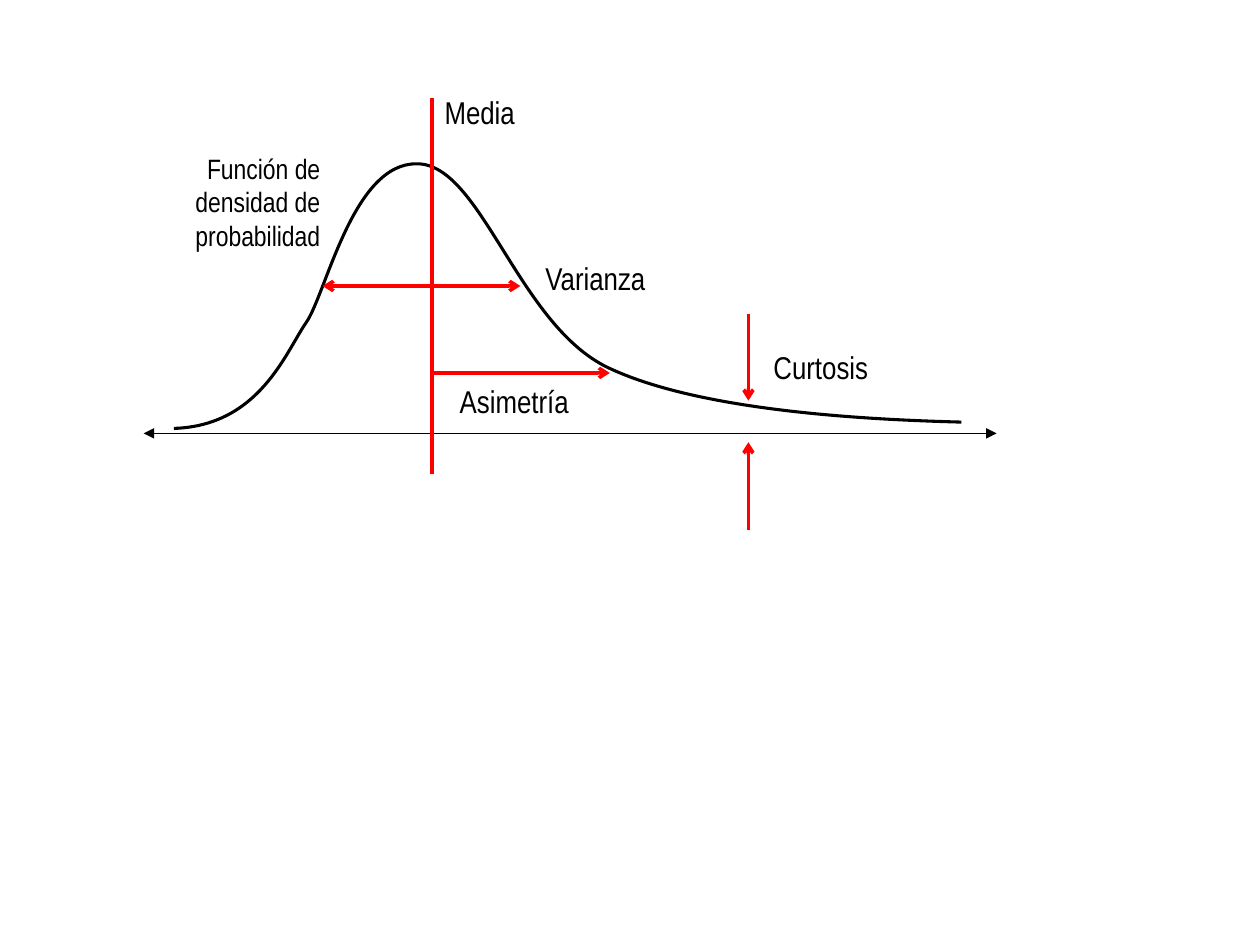
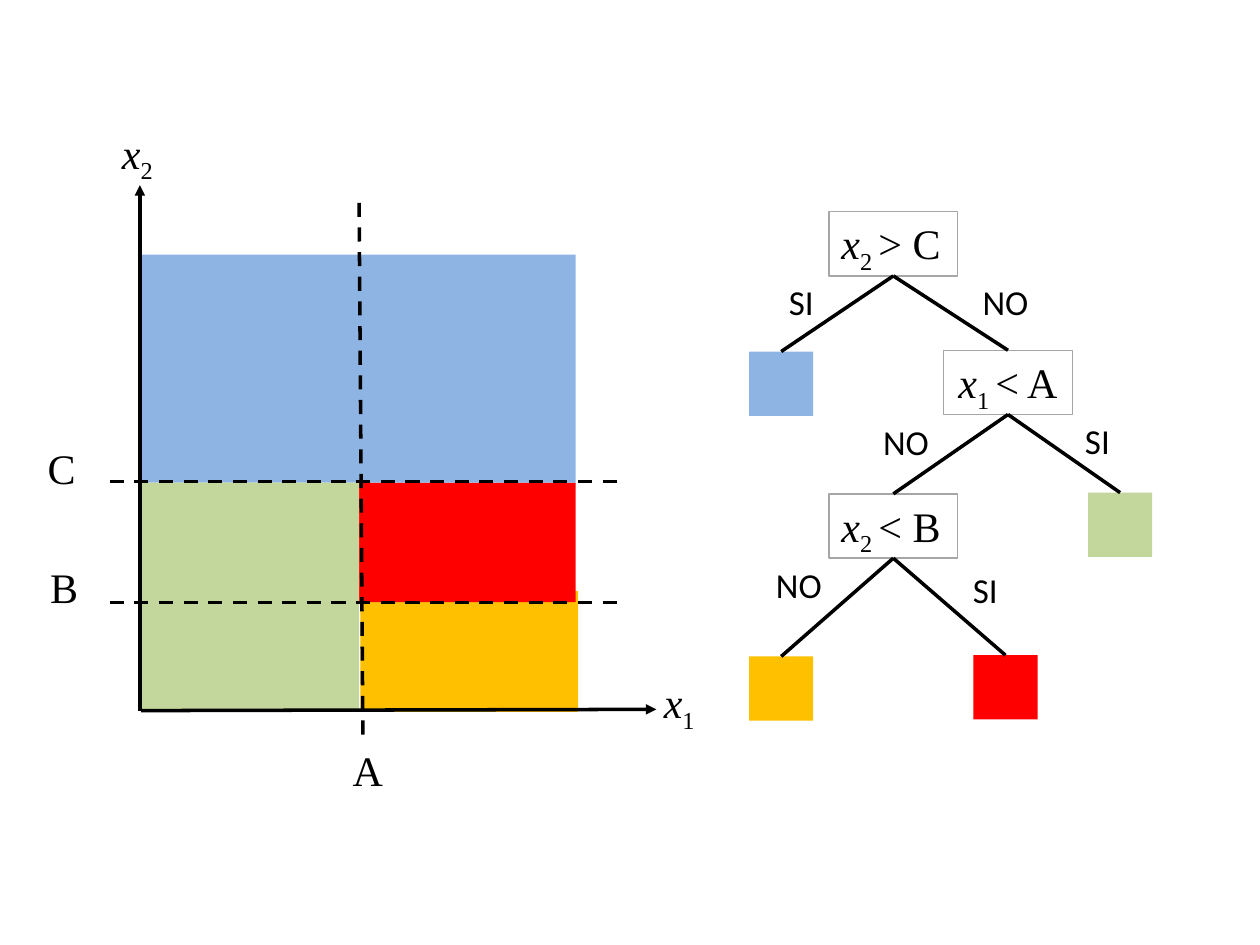
from lxml import etree
from pptx import Presentation
from pptx.dml.color import RGBColor
from pptx.enum.dml import MSO_LINE
from pptx.enum.shapes import MSO_CONNECTOR, MSO_SHAPE
from pptx.enum.text import MSO_ANCHOR, MSO_AUTO_SIZE, PP_ALIGN
from pptx.oxml.ns import qn
from pptx.util import Inches, Pt

BLACK, RED, GREY = "000000", "FF0000", "A6A6A6"
BLUE, GREEN, AMBER = "8EB4E3", "C3D69B", "FFC000"
NARROW, SANS, SERIF = "Arial Narrow", "Calibri", "Times New Roman"

# Slide 1: density curve and its moments
MEAN_X, KURTOSIS_X, AXIS_Y = 3.43, 5.94, 3.44
DENSITY_START = (1.38, 3.4)
DENSITY_CURVES = [  # two control points and an end point each
    [(2.06, 3.38), (2.27, 2.79), (2.43, 2.56)],
    [(2.59, 2.33), (2.8, 1.29), (3.31, 1.3)],
    [(3.82, 1.3), (4.11, 2.58), (4.83, 2.92)],
    [(5.55, 3.26), (6.85, 3.33), (7.63, 3.35)],
]
MOMENT_LINES = [  # start, end, head, tail
    ((MEAN_X, 3.76), (MEAN_X, 0.78), None, None),
    ((4.13, 2.27), (2.56, 2.27), "arrow", "arrow"),
    ((MEAN_X, 2.96), (4.84, 2.96), None, "arrow"),
    ((KURTOSIS_X, 2.49), (KURTOSIS_X, 3.18), None, "arrow"),
    ((KURTOSIS_X, 4.21), (KURTOSIS_X, 3.51), None, "arrow"),
]
MOMENT_LABELS = [
    ("Media", (3.43, 0.69, 0.77, 0.4)),
    ("Varianza", (4.23, 2.01, 1.01, 0.4)),
    ("Asimetría", (3.55, 2.98, 1.08, 0.4)),
    ("Curtosis", (6.04, 2.71, 0.96, 0.4)),
]
DENSITY_LABEL = ("Función de densidad de probabilidad", (1.22, 1.15, 1.42, 0.91))

# Slide 2: partition of the plane and its decision tree
REGIONS = [
    (AMBER, (2.86, 4.69, 1.73, 0.96)),
    (RED, (2.84, 3.83, 1.73, 0.95)),
    (BLUE, (1.11, 2.02, 3.46, 1.81)),
    (GREEN, (1.12, 3.83, 1.73, 1.81)),
]
AXES = [((1.11, 5.64), (1.11, 1.47)), ((1.12, 5.64), (5.21, 5.63))]
THRESHOLDS = [
    ((2.88, 5.83), (2.85, 1.61)),
    ((0.87, 3.82), (4.97, 3.82)),
    ((0.87, 4.78), (4.97, 4.78)),
]
X1 = [("x", "italic"), ("1", "sub")]
X2 = [("x", "italic"), ("2", "sub")]
PLANE_LABELS = [
    (X2, (0.87, 0.96, 0.46, 0.5)),
    (X1, (5.17, 5.32, 0.46, 0.5)),
    ([("A", "")], (2.7, 5.86, 0.45, 0.5)),
    ([("B", "")], (0.3, 4.41, 0.43, 0.5)),
    ([("C", "")], (0.28, 3.46, 0.43, 0.5)),
]
QUESTION_WIDTH, NODE_SIZE = 1.02, 0.51
QUESTIONS = {  # variable, subscript, test, centre x, top
    "C": ("x", "2 ", "> C", 7.09, 1.68, PP_ALIGN.LEFT),
    "A": ("x", "1 ", "< A", 8.0, 2.78, PP_ALIGN.CENTER),
    "B": ("x", "2 ", "< B", 7.09, 3.92, PP_ALIGN.LEFT),
}
LEAVES = {  # colour, centre x, top
    "blue": (BLUE, 6.2, 2.79),
    "green": (GREEN, 8.89, 3.91),
    "amber": (AMBER, 6.2, 5.21),
    "red": (RED, 7.98, 5.2),
}
BRANCHES = [  # question, child, answer, answer's centre x and top
    ("C", "blue", "SI", 6.36, 2.18),
    ("C", "A", "NO", 7.98, 2.18),
    ("A", "B", "NO", 7.19, 3.29),
    ("A", "green", "SI", 8.71, 3.28),
    ("B", "amber", "NO", 6.34, 4.42),
    ("B", "red", "SI", 7.82, 4.46),
]
ANSWER_WIDTHS = {"SI": 0.4, "NO": 0.72}


def rgb(colour):
    return RGBColor.from_string(colour)


def inches(values):
    return [Inches(value) for value in values]


def draw_line(shapes, start, end, colour=BLACK, width=2, head=None, tail=None, dashed=False):
    line = shapes.add_connector(MSO_CONNECTOR.STRAIGHT, *inches(start + end))
    line.line.color.rgb = rgb(colour)
    line.line.width = Pt(width)
    if dashed:
        line.line.dash_style = MSO_LINE.DASH
    properties = line._element.spPr
    for tag, kind in (("a:headEnd", head), ("a:tailEnd", tail)):
        if kind:
            etree.SubElement(properties.find(qn("a:ln")), qn(tag), type=kind)
    etree.SubElement(properties, qn("a:effectLst"))


def draw_box(shapes, box, fill=None, outline=None):
    shape = shapes.add_shape(MSO_SHAPE.RECTANGLE, *inches(box))
    shape.shadow.inherit = False
    if fill:
        shape.fill.solid()
        shape.fill.fore_color.rgb = rgb(fill)
    else:
        shape.fill.background()
    if outline:
        shape.line.color.rgb = rgb(outline)
        shape.line.width = Pt(0.75)
    else:
        shape.line.fill.background()
    return shape


def write(shape, runs, font, size, align=PP_ALIGN.LEFT, wrap=False):
    """Fill a shape with (text, style) runs; style is "", "italic" or "sub"."""
    frame = shape.text_frame
    frame.word_wrap = wrap
    frame.auto_size = MSO_AUTO_SIZE.SHAPE_TO_FIT_TEXT
    frame.vertical_anchor = MSO_ANCHOR.TOP
    paragraph = frame.paragraphs[0]
    paragraph.alignment = align
    for text, style in runs:
        run = paragraph.add_run()
        run.text = text
        run.font.name = font
        run.font.size = Pt(size)
        run.font.color.rgb = rgb(BLACK)
        run.font.italic = style == "italic"
        if style == "sub":
            run.font._element.set("baseline", "-25000")


def label(shapes, runs, box, font, size, **layout):
    write(shapes.add_textbox(*inches(box)), runs, font, size, **layout)


def draw_curve(shapes, start, curves):
    """Draw an open outline of cubic Bézier curves."""
    builder = shapes.build_freeform(*inches(start), scale=1.0)
    builder.add_line_segments([inches(point) for curve in curves for point in curve], close=False)
    outline = builder.convert_to_shape()
    outline.shadow.inherit = False
    outline.fill.background()
    outline.line.color.rgb = rgb(BLACK)
    outline.line.width = Pt(1.75)
    segments = list(outline._element.iter(qn("a:lnTo")))
    for first in range(0, len(segments), 3):
        bezier = etree.Element(qn("a:cubicBezTo"))
        segments[first].addprevious(bezier)
        for segment in segments[first:first + 3]:
            bezier.append(segment[0])
            segment.getparent().remove(segment)


def draw_density(shapes):
    draw_line(shapes, (1.14, AXIS_Y), (7.91, AXIS_Y), width=1, head="triangle", tail="triangle")
    draw_curve(shapes, DENSITY_START, DENSITY_CURVES)
    for start, end, head, tail in MOMENT_LINES:
        draw_line(shapes, start, end, RED, head=head, tail=tail)
    for text, box in MOMENT_LABELS:
        label(shapes, [(text, "")], box, NARROW, 18)
    text, box = DENSITY_LABEL
    label(shapes, [(text, "")], box, NARROW, 16, align=PP_ALIGN.RIGHT, wrap=True)


def draw_partition(shapes):
    for colour, box in REGIONS:
        draw_box(shapes, box, fill=colour)
    for start, end in AXES:
        draw_line(shapes, start, end, tail="triangle")
    for start, end in THRESHOLDS:
        draw_line(shapes, start, end, dashed=True)
    for runs, box in PLANE_LABELS:
        label(shapes, runs, box, SERIF, 24)


def draw_tree(shapes):
    tops = {}
    for name, (variable, subscript, test, centre, top, align) in QUESTIONS.items():
        tops[name] = (centre, top)
        box = (centre - QUESTION_WIDTH / 2, top, QUESTION_WIDTH, NODE_SIZE)
        runs = [(variable, "italic"), (subscript, "sub"), (test, "")]
        write(draw_box(shapes, box, outline=GREY), runs, SERIF, 24, align)
    for name, (colour, centre, top) in LEAVES.items():
        tops[name] = (centre, top)
        draw_box(shapes, (centre - NODE_SIZE / 2, top, NODE_SIZE, NODE_SIZE), fill=colour)
    for question, child, answer, centre, top in BRANCHES:
        x, y = tops[question]
        draw_line(shapes, (x, y + NODE_SIZE), tops[child])
        width = ANSWER_WIDTHS[answer]
        label(shapes, [(answer, "")], (centre - width / 2, top, width, 0.44), SANS, 20,
              align=PP_ALIGN.CENTER, wrap=answer == "NO")


def main():
    deck = Presentation()
    deck.slide_width, deck.slide_height = inches((10, 7.5))
    blank = deck.slide_layouts[6]
    draw_density(deck.slides.add_slide(blank).shapes)
    plane = deck.slides.add_slide(blank).shapes
    draw_partition(plane)
    draw_tree(plane.add_group_shape().shapes)
    deck.save("out.pptx")


if __name__ == "__main__":
    main()
